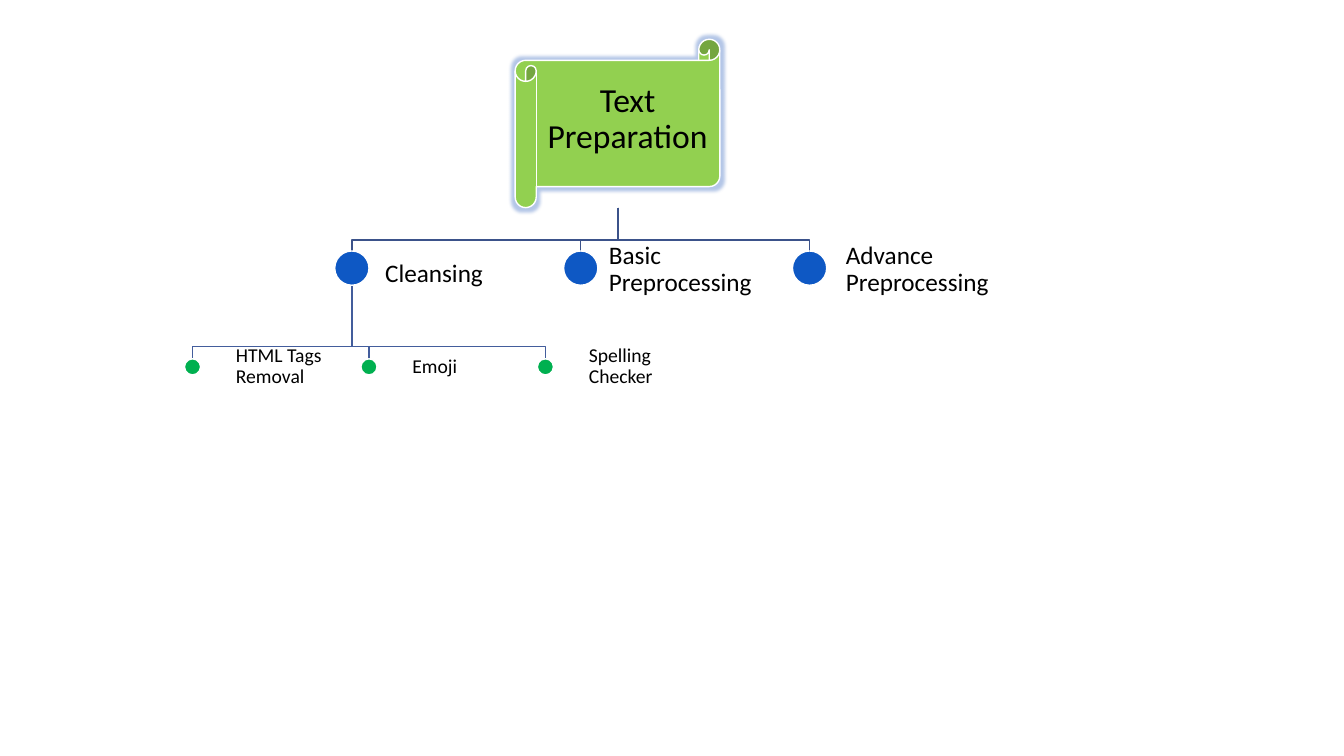
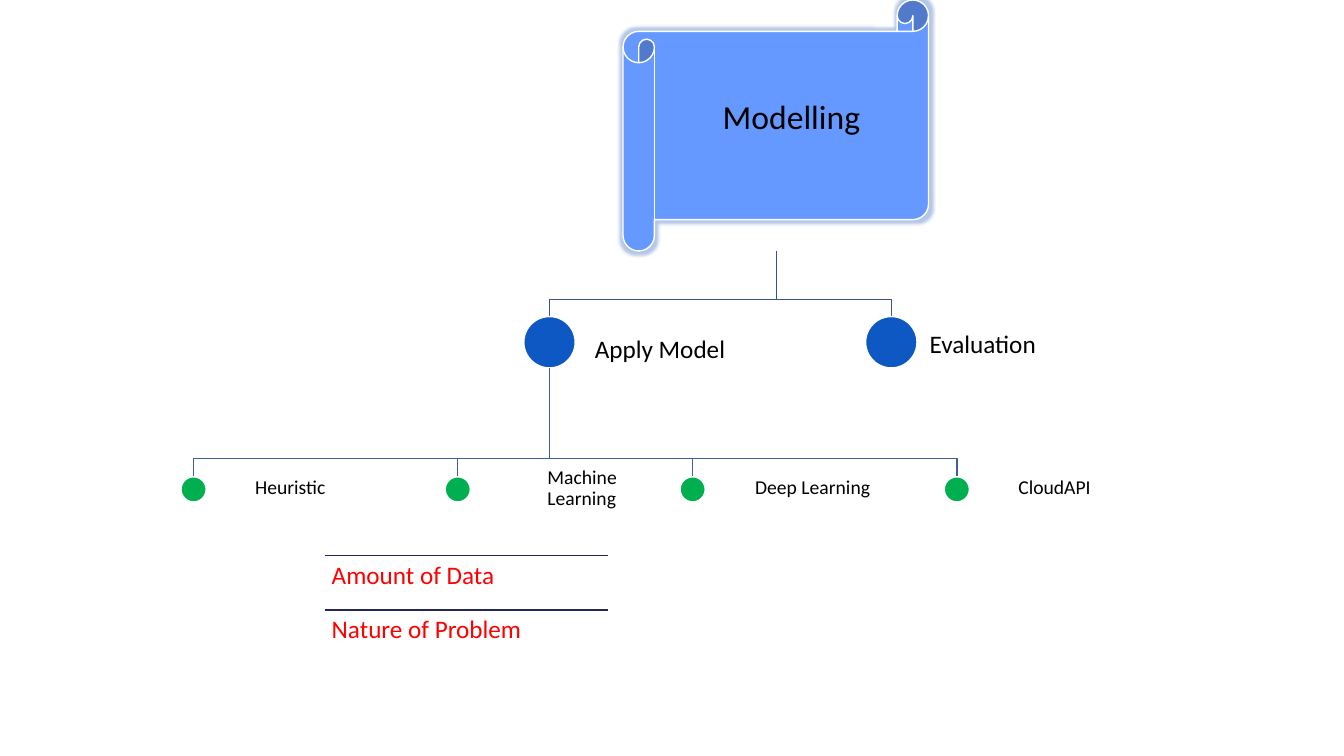
from lxml import etree
from pptx import Presentation, util as u
from pptx.dml.color import RGBColor
from pptx.enum import shapes, text
from pptx.oxml import ns

COLORS = {
    "preparation": "92D050", "modelling": "6699FF", "glow": "4472C4",
    "stage": "0E58C4", "task": "00B050", "outline": "FFFFFF",
    "stage_branch": "3B528A", "task_branch": "435D9C",
    "rule": "242852", "label": "000000", "factor": "FF0000",
}
TITLE = {"size": 24, "inset": 0.1, "align": text.PP_ALIGN.CENTER}
STAGE = {"size": 18, "inset": 0.07}
TASK = {"size": 14, "inset": 0.06}


def rgb(name):
    return RGBColor.from_string(COLORS[name])


def apply(target, values):
    for attribute, value in values.items():
        setattr(target, attribute, value)


def set_line(line, color):
    line.color.rgb = rgb(color)
    line.width = u.Pt(1)


def add_label(slide, words, box, style, color="label",
              anchor=text.MSO_ANCHOR.MIDDLE):
    frame = slide.shapes.add_textbox(*map(u.Inches, box)).text_frame
    inset = u.Inches(style["inset"])
    apply(frame, {"word_wrap": True, "vertical_anchor": anchor,
                  "margin_left": inset, "margin_right": inset,
                  "margin_top": inset, "margin_bottom": inset})
    paragraph = frame.paragraphs[0]
    apply(paragraph, {"text": words, "line_spacing": 0.9,
                      "alignment": style.get("align", text.PP_ALIGN.LEFT)})
    apply(paragraph.font, {"name": "Calibri", "size": u.Pt(style["size"])})
    paragraph.font.color.rgb = rgb(color)


def add_filled(slide, preset, box, color):
    figure = slide.shapes.add_shape(preset, *map(u.Inches, box))
    figure.shadow.inherit = False
    figure.fill.solid()
    figure.fill.fore_color.rgb = rgb(color)
    set_line(figure.line, "outline")
    return figure


def add_scroll(slide, words, box, label_box, color):
    scroll = add_filled(slide, shapes.MSO_SHAPE.HORIZONTAL_SCROLL, box, color)
    effects = scroll.element.spPr.find(ns.qn("a:effectLst"))
    glow = etree.SubElement(effects, ns.qn("a:glow"), rad="63500")
    tint = etree.SubElement(glow, ns.qn("a:srgbClr"), val=COLORS["glow"])
    etree.SubElement(tint, ns.qn("a:alpha"), val="40000")
    add_label(slide, words, label_box, TITLE)


def add_branch(slide, points, color):
    corners = [tuple(map(u.Inches, point)) for point in points]
    builder = slide.shapes.build_freeform(*corners[0])
    builder.add_line_segments(corners[1:], close=False)
    branch = builder.convert_to_shape()
    branch.shadow.inherit = False
    branch.fill.background()
    set_line(branch.line, color)


def add_level(slide, kind, style, parent, bus, top, dot, nodes, label_height):
    parent_x, parent_y = parent
    for _, center, *_ in nodes:
        add_branch(slide, [(parent_x, parent_y), (parent_x, bus),
                           (center, bus), (center, top)], kind + "_branch")
    for words, center, left, label_top, width in nodes:
        add_filled(slide, shapes.MSO_SHAPE.OVAL,
                   (center - dot / 2, top, dot, dot), kind)
        add_label(slide, words, (left, label_top, width, label_height), style)


def add_factors(slide, factors, left, top, width, height):
    for row, words in enumerate(factors):
        y = top + row * height
        rule = slide.shapes.add_connector(
            shapes.MSO_CONNECTOR.STRAIGHT,
            *map(u.Inches, (left, y, left + width, y)))
        etree.SubElement(rule.element.spPr, ns.qn("a:effectLst"))
        set_line(rule.line, "rule")
        add_label(slide, words, (left, y, width, height), STAGE, "factor",
                  text.MSO_ANCHOR.TOP)


def build_preparation(slide):
    stages = [("Cleansing", 3.49, 3.75, 2.35, 1.97),
              ("Basic Preprocessing", 5.76, 5.97, 2.31, 1.97),
              ("Advance Preprocessing", 8.03, 8.32, 2.31, 1.97)]
    tasks = [(words, 1.91 + 1.75 * i, 2.28 + 1.75 * i, 3.27, 1.11)
             for i, words in enumerate(
                 ["HTML Tags Removal", "Emoji", "Spelling Checker"])]
    add_level(slide, "stage", STAGE, (6.13, 2.06), 2.38, 2.49, 0.34,
              stages, 0.74)
    add_level(slide, "task", TASK, (3.49, 2.84), 3.44, 3.56, 0.16,
              tasks, 0.74)
    add_scroll(slide, "Text Preparation", (5.11, 0.39, 2.03, 1.67),
               (5.14, 0.7, 2.17, 0.97), "preparation")


def build_modelling(slide):
    stages = [("Apply Model", 5.45, 5.83, 2.92, 2.94),
              ("Evaluation", 8.84, 9.15, 2.87, 2.94)]
    tasks = [("Heuristic", 1.92, 2.47, 4.29, 1.66),
             ("Machine Learning", 4.54, 5.37, 4.29, 1.1),
             ("Deep Learning", 6.87, 7.43, 4.29, 1.66),
             ("CloudAPI", 9.49, 10.04, 4.29, 1.66)]
    add_level(slide, "stage", STAGE, (7.7, 2.49), 2.97, 3.14, 0.51,
              stages, 1.11)
    add_level(slide, "task", TASK, (5.45, 3.65), 4.55, 4.73, 0.25,
              tasks, 1.11)
    add_scroll(slide, "Modelling", (6.18, 0, 3.03, 2.49),
               (6.23, 0.46, 3.24, 1.44), "modelling")
    add_factors(slide, ["Amount of Data", "Nature of Problem"],
                3.22, 5.51, 2.81, 0.54)


def main():
    deck = Presentation()
    apply(deck, {"slide_width": u.Inches(13.33),
                 "slide_height": u.Inches(7.5)})
    for build in (build_preparation, build_modelling):
        build(deck.slides.add_slide(deck.slide_layouts[6]))
    deck.save("out.pptx")


if __name__ == "__main__":
    main()
